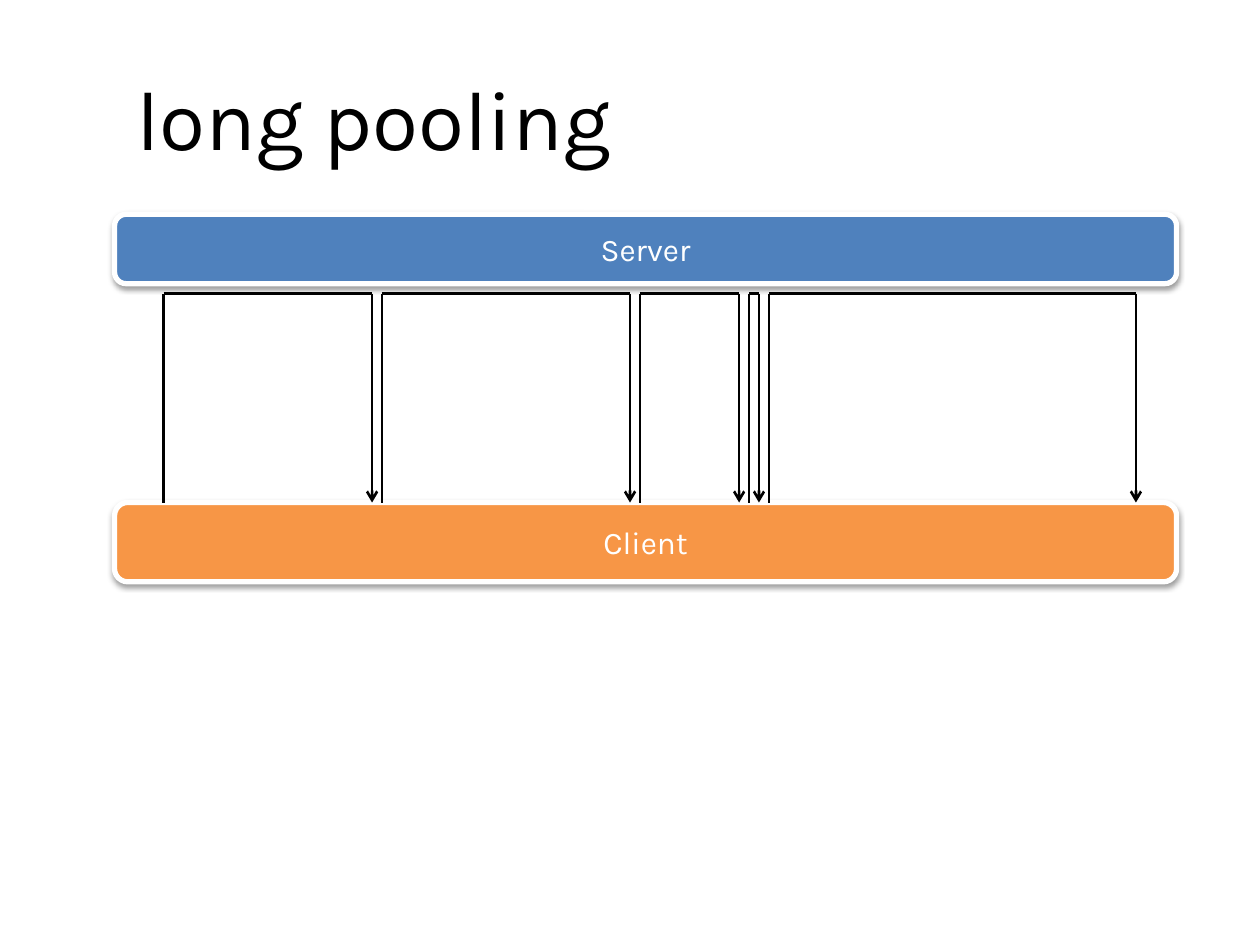
from lxml import etree
from pptx import Presentation
from pptx import util as u
from pptx.dml.color import RGBColor
from pptx.enum import shapes, text
from pptx.oxml import ns


class Theme:
    font = "Karla"
    black, white = RGBColor(0, 0, 0), RGBColor(255, 255, 255)
    blue, orange = RGBColor(0x4F, 0x81, 0xBD), RGBColor(0xF7, 0x96, 0x46)
    title_size, label_size = u.Pt(48), u.Pt(18)
    border, stroke = u.Pt(3), u.Pt(1.5)
    shadow = {"blurRad": "40000", "dist": "20000", "dir": "5400000", "rotWithShape": "0"}
    shadow_alpha = "38000"


def add_xml(parent, tag, **attrs):
    return etree.SubElement(parent, ns.qn(tag), attrs)


class Board:
    """Draws themed elements on the current slide."""

    def __init__(self, slide, theme):
        self.slide, self.theme = slide, theme

    def label(self, sp, content, size, color, align):
        tf = sp.text_frame
        tf.word_wrap = True
        tf.vertical_anchor = text.MSO_ANCHOR.MIDDLE
        p = tf.paragraphs[0]
        p.alignment = align
        r = p.add_run()
        r.text = content
        for name, value in {"name": self.theme.font, "size": size}.items():
            setattr(r.font, name, value)
        r.font.color.rgb = color

    def title(self, content, *box):
        sp = self.slide.shapes.add_textbox(*map(u.Cm, box))
        self.label(sp, content, self.theme.title_size, self.theme.black, text.PP_ALIGN.LEFT)

    def bar(self, content, fill, *box):
        t = self.theme
        sp = self.slide.shapes.add_shape(shapes.MSO_SHAPE.ROUNDED_RECTANGLE, *map(u.Cm, box))
        sp.fill.solid()
        sp.fill.fore_color.rgb = fill
        sp.line.color.rgb = t.white
        sp.line.width = t.border
        sp.shadow.inherit = False
        effects = sp.element.spPr.find(ns.qn("a:effectLst"))
        shadow = add_xml(effects, "a:outerShdw", **t.shadow)
        color = add_xml(shadow, "a:srgbClr", val=str(t.black))
        add_xml(color, "a:alpha", val=t.shadow_alpha)
        self.label(sp, content, t.label_size, t.white, text.PP_ALIGN.CENTER)

    def line(self, *ends, arrow=False):
        sp = self.slide.shapes.add_connector(shapes.MSO_CONNECTOR.STRAIGHT, *map(u.Cm, ends))
        sp.line.color.rgb = self.theme.black
        sp.line.width = self.theme.stroke
        props = sp.element.spPr
        if arrow:
            add_xml(props.find(ns.qn("a:ln")), "a:tailEnd", type="arrow")
        add_xml(props, "a:effectLst")

    def request(self, start, end, top, bottom):
        """Up to the server, wait there, then back down to the client."""
        self.line(start, bottom, start, top)
        self.line(start, top, end, top)
        self.line(end, top, end, bottom, arrow=True)


def main():
    prs = Presentation()
    prs.slide_width, prs.slide_height = u.Cm(25.4), u.Cm(19.05)
    board = Board(prs.slides.add_slide(prs.slide_layouts[6]), Theme)

    # Title
    board.title("long pooling", 2.5, 0.76, 22.86, 3.18)

    # Server and client bars
    left, width, client_top = 2.31, 21.41, 10.13
    board.bar("Server", Theme.blue, left, 4.32, width, 1.4)
    board.bar("Client", Theme.orange, left, client_top, width, 1.6)

    # Requests: each one starts just after the previous response
    start, gap = 3.3, 0.2
    for end in (7.5, 12.7, 14.9, 15.3, 22.9):
        board.request(start, end, 5.92, client_top)
        start = end + gap

    prs.save("out.pptx")


if __name__ == "__main__":
    main()
